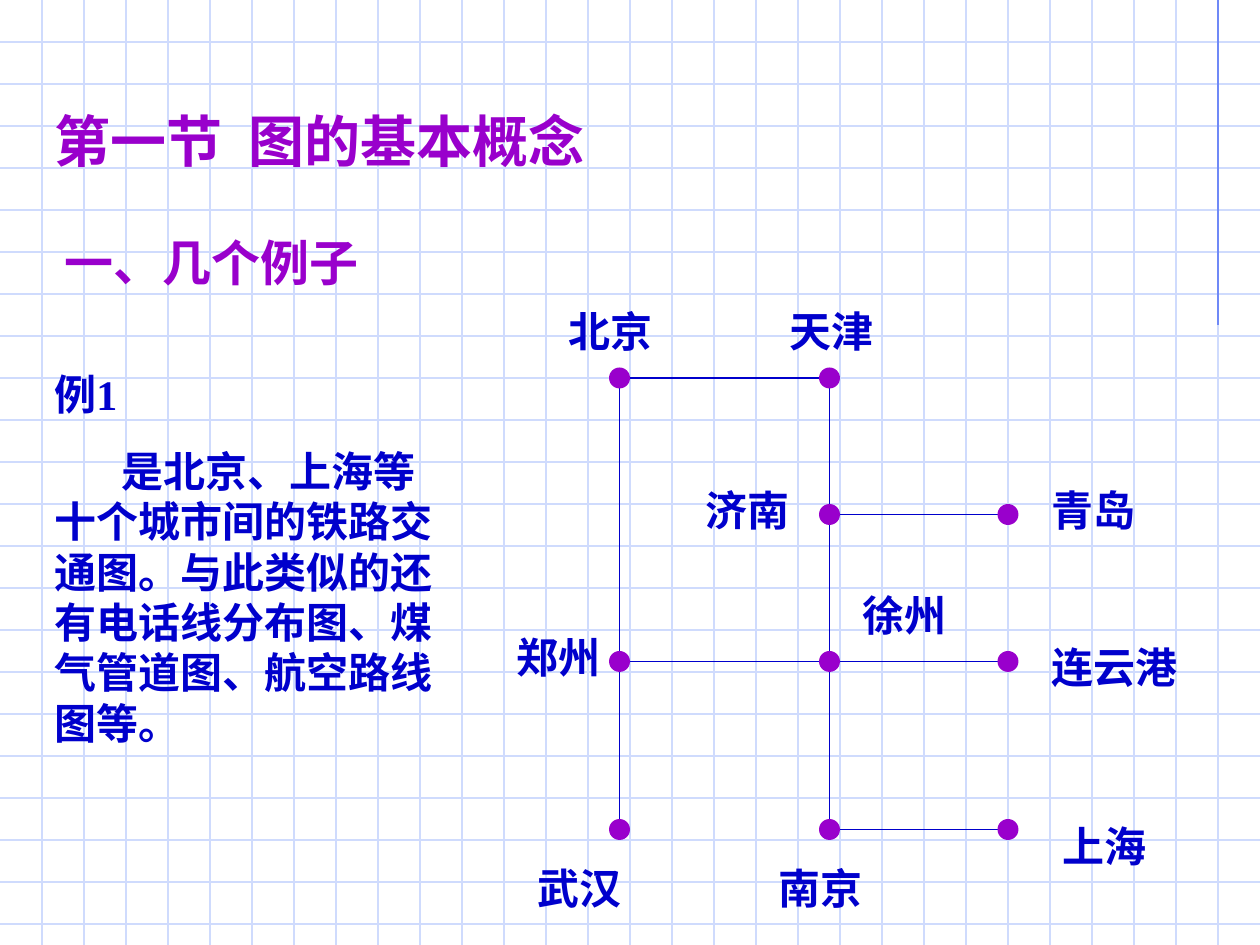
from lxml.etree import SubElement
from pptx import Presentation
from pptx.dml.color import RGBColor
from pptx.enum.shapes import MSO_CONNECTOR as CONNECTOR, MSO_SHAPE as SHAPE
from pptx.enum.text import MSO_ANCHOR as ANCHOR, MSO_AUTO_SIZE as AUTO_SIZE, PP_ALIGN as ALIGN
from pptx.oxml.ns import qn
from pptx.util import Emu, Pt

WIDTH, HEIGHT = 1200, 900
GRID_STEP = 40
PURPLE, BLUE = "9900CC", "0000CC"
GRID_COLOR, MARGIN_COLOR = "CFDBFD", "6F89F7"
LATIN, CJK = "Times New Roman", "Noto Sans CJK SC"

# Rail map, relative to its box: station, dot centre, label box
STATIONS = [
    ("北京", (110, 80), (50, 0, 120)),
    ("天津", (310, 80), (260, 0, 120)),
    ("济南", (310, 210), (180, 170, 110)),
    ("青岛", (480, 210), (510, 170, 110)),
    ("徐州", (310, 350), (330, 270, 120)),
    ("郑州", (110, 350), (0, 310, 130)),
    ("连云港", (480, 350), (510, 320, 150)),
    ("武汉", (110, 510), (20, 530, 150)),
    ("南京", (310, 510), (250, 530, 130)),
    ("上海", (480, 510), (520, 490, 120)),
]
RAILWAYS = [("北京", "天津"), ("天津", "南京"), ("北京", "武汉"),
            ("济南", "青岛"), ("郑州", "连云港"), ("南京", "上海")]


def px(length):
    return Emu(length * 7620)


def rgb(color):
    return RGBColor.from_string(color)


def add_line(slide, start, end, color):
    line = slide.shapes.add_connector(CONNECTOR.STRAIGHT, *map(px, (*start, *end)))
    line.line.color.rgb = rgb(color)
    line.line.width = Pt(0.75)
    SubElement(line._element.spPr, qn("a:effectLst"))


def write_text(shape, *texts, size=24, color=BLUE, font=LATIN, gap=15, indent=0):
    """Write one paragraph per text; gap and indent apply after the first."""
    frame = shape.text_frame
    frame.word_wrap = True
    frame.auto_size = AUTO_SIZE.NONE
    frame.vertical_anchor = ANCHOR.TOP
    frame.margin_left = frame.margin_right = px(12)
    frame.margin_top, frame.margin_bottom = px(11), px(6)
    for index, text in enumerate(texts):
        paragraph = frame.add_paragraph() if index else frame.paragraphs[0]
        paragraph.alignment = ALIGN.LEFT
        paragraph.line_spacing = Pt(round(size * 1.2, 1))
        paragraph.space_before = Pt(gap if index else 0)
        if index and indent:
            paragraph._p.get_or_add_pPr().set("indent", str(px(indent)))
        run = paragraph.add_run()
        run.text = text
        run.font.size = Pt(size)
        run.font.bold = True
        run.font.color.rgb = rgb(color)
        run.font.name = font
        SubElement(run._r.get_or_add_rPr(), qn("a:ea")).set("typeface", CJK)


def add_text(slide, box, *texts, **text_format):
    write_text(slide.shapes.add_textbox(*map(px, box)), *texts, **text_format)


def add_grid(slide, left, top, width, height):
    right, bottom = left + width, top + height
    for y in range(top + GRID_STEP, bottom, GRID_STEP):
        add_line(slide, (left, y), (right, y), GRID_COLOR)
    for x in range(left + GRID_STEP, right, GRID_STEP):
        add_line(slide, (x, top), (x, bottom), GRID_COLOR)
    # Darker margin line at the upper right
    margin = right - GRID_STEP
    add_line(slide, (margin, top), (margin, top + 310), MARGIN_COLOR)


def add_headings(slide, left, top):
    title = slide.shapes.title
    title.left, title.top, title.width, title.height = map(px, (left, top, 690, 77))
    write_text(title, "第一节  图的基本概念", size=32, color=PURPLE, font=CJK)
    # Bring the title in front of the grid
    slide.shapes._spTree.append(title._element)
    add_text(slide, (left + 10, top + 120, 510, 68), "一、几个例子", size=28, color=PURPLE)


def add_example(slide, *box):
    add_text(slide, box, "例1",
             "是北京、上海等十个城市间的铁路交通图。与此类似的还有电话线分布图、煤气管道图、航空路线图等。",
             indent=64)


def add_rail_map(slide, left, top):
    centres = {name: (left + x, top + y) for name, (x, y), _ in STATIONS}
    for start, end in RAILWAYS:
        add_line(slide, centres[start], centres[end], BLUE)
    for name, _, (label_x, label_y, label_width) in STATIONS:
        x, y = centres[name]
        dot = slide.shapes.add_shape(SHAPE.FLOWCHART_CONNECTOR,
                                     *map(px, (x - 10, y - 10, 20, 20)))
        dot.shadow.inherit = False
        dot.fill.solid()
        dot.fill.fore_color.rgb = rgb(PURPLE)
        dot.line.fill.background()
        add_text(slide, (left + label_x, top + label_y, label_width, 60), name)


def main():
    presentation = Presentation()
    presentation.slide_width, presentation.slide_height = px(WIDTH), px(HEIGHT)
    slide = presentation.slides.add_slide(presentation.slide_layouts[5])
    slide.background.fill.solid()
    slide.background.fill.fore_color.rgb = rgb("FFFFFF")
    add_grid(slide, 0, 0, WIDTH, HEIGHT)
    add_headings(slide, 40, 90)
    add_example(slide, 40, 340, 390, 380)
    add_rail_map(slide, 480, 280)
    presentation.save("out.pptx")


if __name__ == "__main__":
    main()
